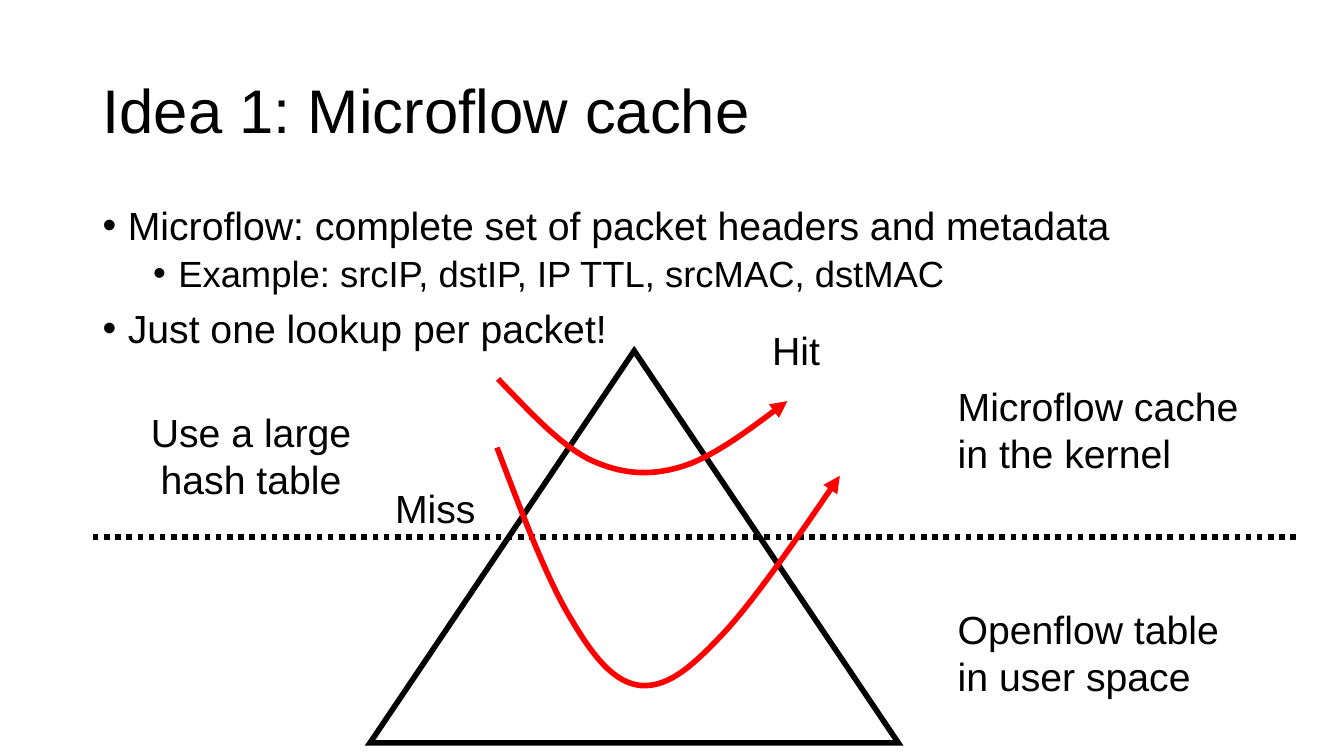
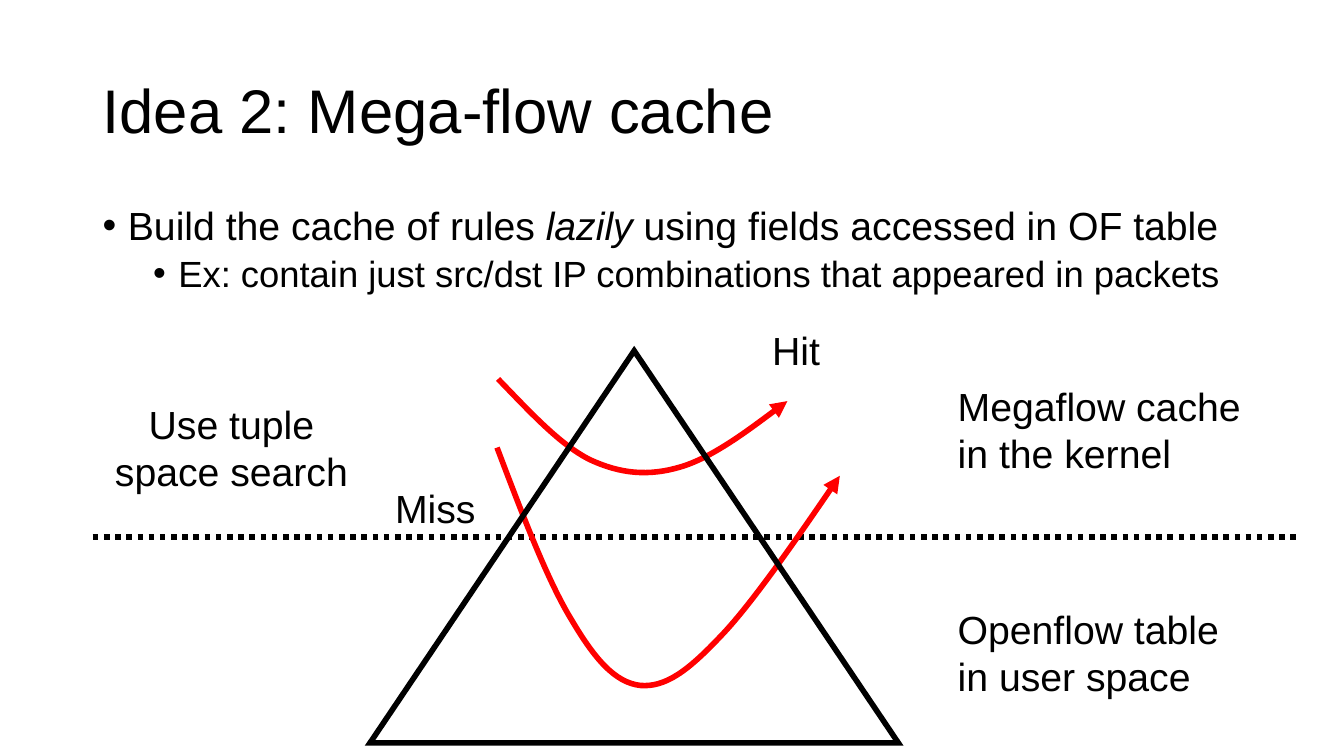
from lxml import etree
from pptx import Presentation
from pptx import util as u
from pptx.dml.color import RGBColor
from pptx.enum import dml, shapes, text
from pptx.oxml.ns import qn

# Shared style
FONT = "Arial"
COLORS = {"ink": "000000", "flow": "FF0000"}
TITLE_SIZE, LABEL_SIZE = 44, 28
LINE_WIDTH = 4
LEVELS = [  # size, left indent, space before
    {"size": 28, "indent": 0.25, "before": 10},
    {"size": 26, "indent": 0.75, "before": 5},
]
BULLET_HANG = 0.25
LEFT = 0.92

# Flow curves: a start point, then two control points and an end per segment
HIT_CURVE = [
    (4.94, 3.76),
    (5.25, 4.08), (5.55, 4.41), (5.85, 4.56),
    (6.15, 4.70), (6.43, 4.73), (6.76, 4.63),
    (7.09, 4.53), (7.81, 3.98), (7.81, 3.98),
]
MISS_CURVE = [
    (4.93, 4.44),
    (5.18, 5.10), (5.43, 5.76), (5.67, 6.15),
    (5.90, 6.54), (6.10, 6.77), (6.35, 6.80),
    (6.60, 6.82), (6.82, 6.66), (7.15, 6.31),
    (7.48, 5.97), (8.33, 4.72), (8.33, 4.72),
]

SLIDES = [
    {
        "title": "Idea 1: Microflow cache",
        "bullets": [
            (0, "Microflow: complete set of packet headers and metadata"),
            (1, "Example: srcIP, dstIP, IP TTL, srcMAC, dstMAC"),
            (0, "Just one lookup per packet!"),
        ],
        "body_width": 11.5,
        "cache": "Microflow cache in the kernel",
        "method": ("Use a large hash table", 1.31, 4, 2.36),
        "triangle_in_front": False,
    },
    {
        "title": "Idea 2: Mega-flow cache",
        "bullets": [
            (0, "Build the cache of rules *lazily* using fields accessed in OF table"),
            (1, "Ex: contain just src/dst IP combinations that appeared in packets"),
        ],
        "body_width": 12.21,
        "cache": "Megaflow cache in the kernel",
        "method": ("Use tuple space search", LEFT, 3.92, 2.75),
        "triangle_in_front": True,
    },
]


# Text
def format_run(run, size):
    run.font.name = FONT
    run.font.size = u.Pt(size)
    run.font.color.rgb = RGBColor.from_string(COLORS["ink"])


def add_text_frame(slide, left, top, width, height):
    box = slide.shapes.add_textbox(*map(u.Inches, (left, top, width, height)))
    box.text_frame.word_wrap = True
    return box.text_frame


def add_title(slide, title):
    frame = add_text_frame(slide, LEFT, 0.4, 11.5, 1.45)
    frame.vertical_anchor = text.MSO_ANCHOR.MIDDLE
    frame.text = title
    frame.paragraphs[0].line_spacing = 0.9
    format_run(frame.paragraphs[0].runs[0], TITLE_SIZE)


def add_label(slide, label, left, top, width, height=1.04, centred=False):
    frame = add_text_frame(slide, left, top, width, height)
    frame.auto_size = text.MSO_AUTO_SIZE.SHAPE_TO_FIT_TEXT
    frame.text = label
    if centred:
        frame.paragraphs[0].alignment = text.PP_ALIGN.CENTER
    format_run(frame.paragraphs[0].runs[0], LABEL_SIZE)


def set_bullet(paragraph, indent):
    properties = paragraph._p.get_or_add_pPr()
    properties.set("marL", str(u.Inches(indent)))
    properties.set("indent", str(-u.Inches(BULLET_HANG)))
    etree.SubElement(properties, qn("a:buFont")).set("typeface", FONT)
    etree.SubElement(properties, qn("a:buChar")).set("char", "•")


def add_bullets(slide, bullets, width):
    frame = add_text_frame(slide, LEFT, 2, width, 4.76)
    for index, (level, content) in enumerate(bullets):
        paragraph = frame.add_paragraph() if index else frame.paragraphs[0]
        style = LEVELS[level]
        set_bullet(paragraph, style["indent"])
        paragraph.level = level
        paragraph.line_spacing = 0.9
        if index:
            paragraph.space_before = u.Pt(style["before"])
        # Words between asterisks are italic
        for part, words in enumerate(content.split("*")):
            run = paragraph.add_run()
            run.text = words
            format_run(run, style["size"])
            if part % 2:
                run.font.italic = True


# Drawing
def style_line(shape, color):
    shape.line.color.rgb = RGBColor.from_string(COLORS[color])
    shape.line.width = u.Pt(LINE_WIDTH)
    return shape.element.spPr.find(qn("a:ln"))


def add_triangle(container):
    triangle = container.add_shape(
        shapes.MSO_SHAPE.ISOSCELES_TRIANGLE,
        *map(u.Inches, (3.67, 3.48, 5.24, 3.89)))
    triangle.shadow.inherit = False
    triangle.fill.background()
    line = style_line(triangle, "ink")
    etree.SubElement(line, qn("a:miter")).set("lim", "800000")


def add_flow(container, points):
    start, *rest = [(u.Inches(x), u.Inches(y)) for x, y in points]
    builder = container.build_freeform(*start)
    builder.add_line_segments(rest, close=False)
    flow = builder.convert_to_shape()
    flow.shadow.inherit = False
    flow.fill.background()
    # Every three line points become one Bézier segment
    outline = flow.element.spPr.find(".//" + qn("a:path"))
    corners = outline.findall(qn("a:lnTo"))
    for first in range(0, len(corners), 3):
        segment = etree.SubElement(outline, qn("a:cubicBezTo"))
        for corner in corners[first:first + 3]:
            segment.append(corner[0])
            outline.remove(corner)
    line = style_line(flow, "flow")
    etree.SubElement(line, qn("a:tailEnd")).set("type", "triangle")


def add_divider(slide):
    divider = slide.shapes.add_connector(
        shapes.MSO_CONNECTOR.STRAIGHT,
        *map(u.Inches, (LEFT, 5.33, 12.91, 5.33)))
    style_line(divider, "ink")
    divider.line.dash_style = dml.MSO_LINE.ROUND_DOT
    etree.SubElement(divider.element.spPr, qn("a:effectLst"))


def add_diagram(slide, triangle_in_front):
    add_divider(slide)
    group = slide.shapes.add_group_shape().shapes
    if not triangle_in_front:
        add_triangle(group)
    for curve in (HIT_CURVE, MISS_CURVE):
        add_flow(group, curve)
    if triangle_in_front:
        add_triangle(group)


def add_cache_slide(presentation, content):
    slide = presentation.slides.add_slide(presentation.slide_layouts[6])
    add_title(slide, content["title"])
    add_bullets(slide, content["bullets"], content["body_width"])
    add_diagram(slide, content["triangle_in_front"])
    add_label(slide, content["cache"], 9.4, 3.74, 3.02)
    add_label(slide, "Openflow table in user space", 9.4, 5.96, 3.02)
    add_label(slide, "Hit", 7.56, 3.19, 0.77, 0.57)
    add_label(slide, "Miss", 3.82, 4.76, 1.23, 0.57)
    add_label(slide, *content["method"], centred=True)


def main():
    presentation = Presentation()
    presentation.slide_width = u.Inches(13.33)
    presentation.slide_height = u.Inches(7.5)
    for content in SLIDES:
        add_cache_slide(presentation, content)
    presentation.save("out.pptx")


if __name__ == "__main__":
    main()
